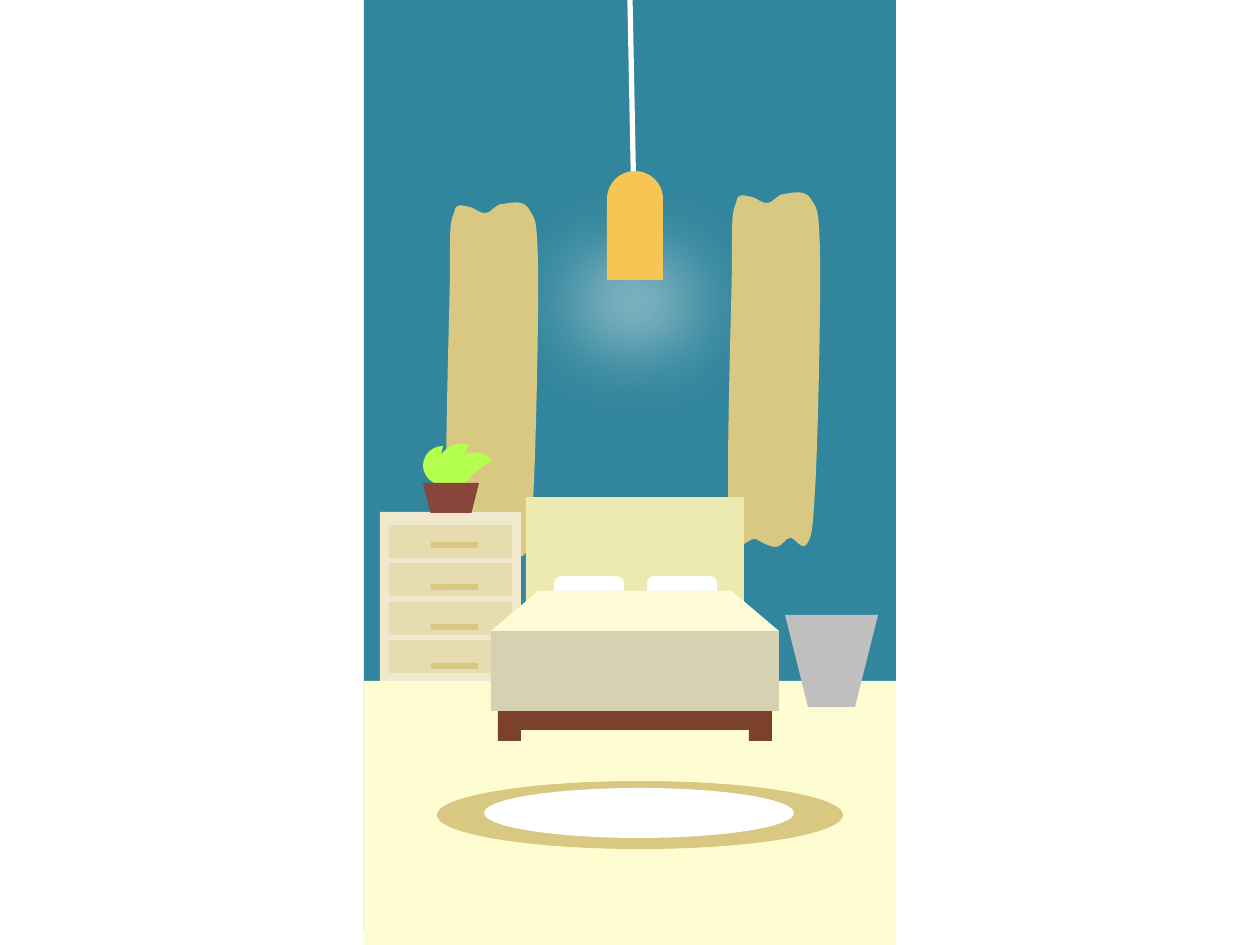
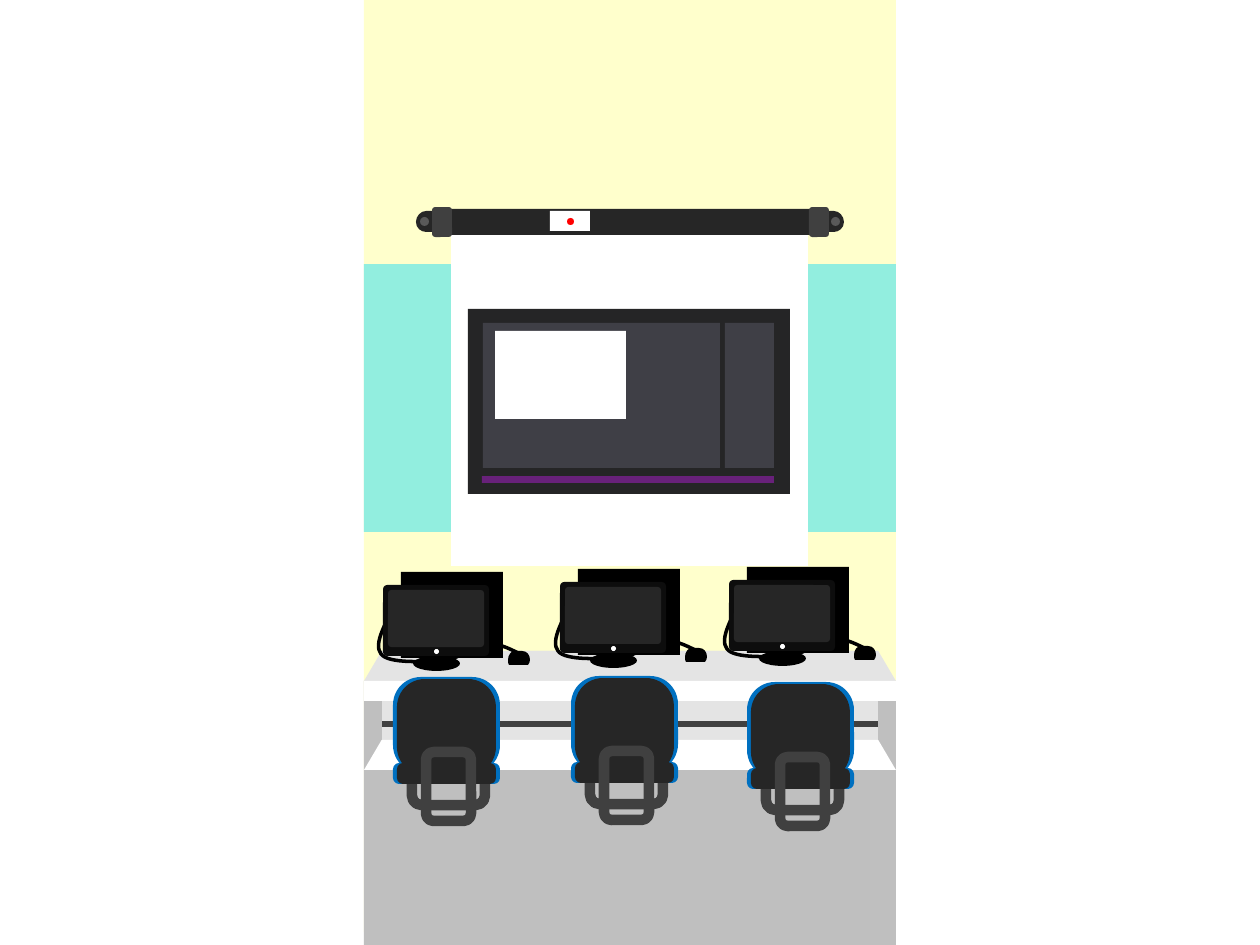
from dataclasses import dataclass

from lxml.etree import SubElement
from pptx import Presentation
from pptx.dml.color import RGBColor
from pptx.enum.shapes import MSO_CONNECTOR, MSO_SHAPE
from pptx.oxml.ns import qn
from pptx.util import Emu, Pt

PIXEL = 914400 / 126
LEFT, WIDTH, HEIGHT, FLOOR = 364, 532, 945, 681


@dataclass(frozen=True)
class Theme:
    """Colours and line widths of both scenes."""
    white: str = "FFFFFF"
    black: str = "000000"
    # Bedroom
    blue_wall: str = "31859C"
    cream_floor: str = "FEFDD1"
    sand: str = "D9C881"
    wood: str = "7B412D"
    headboard: str = "ECE9B1"
    cabinet: str = "F0E9CD"
    drawer: str = "E7DCAF"
    blanket: str = "D6D1B1"
    sheet: str = "FEFBD7"
    leaf: str = "B4FF4F"
    pot: str = "88463A"
    lamp: str = "F7C553"
    silver: str = "BFBFBF"
    # Classroom
    yellow_wall: str = "FFFFCC"
    mint: str = "92EEDF"
    charcoal: str = "262626"
    steel: str = "404040"
    bolt: str = "595959"
    red: str = "FF0000"
    desk: str = "E4E4E4"
    bezel: str = "0D0D0D"
    chair_rim: str = "0070C0"
    window: str = "252526"
    panel: str = "3F3F46"
    purple: str = "68217A"
    # Line widths in points
    cable: int = 2
    cord: int = 3
    tube: int = 6


theme = Theme()
RECT, ROUND, OVAL = MSO_SHAPE.RECTANGLE, MSO_SHAPE.ROUNDED_RECTANGLE, MSO_SHAPE.OVAL
TRAPEZOID, MOON = MSO_SHAPE.TRAPEZOID, MSO_SHAPE.MOON


def emu(*lengths):
    """Turn pixels into EMU."""
    return [Emu(round(length * PIXEL)) for length in lengths]


def draw(slide, kind, geometry, fill=None, line=None, width=1, adjust=None,
         rotation=0, flip=False, origin=(0, 0)):
    """Add a preset in a box, or, if kind is a string of L and C segments, a freeform."""
    left, top = origin
    if isinstance(kind, str):
        points = [emu(left + x, top + y) for x, y in geometry]
        builder = slide.shapes.build_freeform(*points[0], scale=1.0)
        builder.add_line_segments(points[1:], close=fill is not None)
        shape = builder.convert_to_shape()
        lines = iter(list(shape._element.iter(qn("a:lnTo"))))
        for segment in kind:
            element = next(lines)
            if segment == "C":
                element.tag = qn("a:cubicBezTo")
                for spare in (next(lines), next(lines)):
                    element.append(spare[0])
                    spare.getparent().remove(spare)
    else:
        x, y, box_width, box_height = geometry
        shape = slide.shapes.add_shape(kind, *emu(left + x, top + y, box_width, box_height))
    shape.shadow.inherit = False
    shape.rotation = rotation
    if flip:
        shape._element.spPr.find(qn("a:xfrm")).set("flipV", "1")
    if adjust is not None:
        shape.adjustments[0] = adjust
    if fill:
        shape.fill.solid()
        shape.fill.fore_color.rgb = RGBColor.from_string(fill)
    else:
        shape.fill.background()
    if line:
        shape.line.color.rgb = RGBColor.from_string(line)
        shape.line.width = Pt(width)
    else:
        shape.line.fill.background()
    return shape


presentation = Presentation()
presentation.slide_width, presentation.slide_height = emu(1260, HEIGHT)
blank_layout = presentation.slide_layouts[6]

# Slide 1: bedroom
bedroom = presentation.slides.add_slide(blank_layout)
draw(bedroom, RECT, (LEFT, 0, WIDTH, 932), theme.blue_wall)
glow = draw(bedroom, RECT, (428, 122, 412, 359), theme.white)
effects = glow._element.spPr.find(qn("a:effectLst"))
SubElement(effects, qn("a:softEdge"), rad=str(Pt(66)))

CURTAIN = [
    (529, 209), (523, 199), (510, 203), (503, 204), (495, 204), (491, 213), (486, 213),
    (480, 214), (475, 208), (470, 207), (464, 207), (456, 200), (454, 213),
    (450, 224), (450, 224), (450, 277), (449, 330), (444, 484), (447, 529),
    (451, 575), (466, 546), (474, 549), (482, 554), (489, 557), (494, 557),
    (500, 557), (503, 548), (508, 548), (513, 547), (520, 562), (525, 554),
    (529, 546), (530, 551), (533, 501), (536, 452), (539, 310), (538, 262),
    (537, 213), (534, 219), (529, 209)]
for shift in ((0, 0), (282, -10)):
    draw(bedroom, "C" * 13, CURTAIN, theme.sand, origin=shift)

draw(bedroom, RECT, (LEFT, FLOOR, WIDTH, HEIGHT - FLOOR), theme.cream_floor)

# Bed frame, headboard and pillows
draw(bedroom, RECT, (498, 671, 274, 59), theme.wood)
for x in (498, 749):
    draw(bedroom, RECT, (x, 727, 23, 14), theme.wood)
draw(bedroom, RECT, (526, 497, 218, 134), theme.headboard)
for x in (554, 647):
    draw(bedroom, ROUND, (x, 576, 70, 44), theme.white)

# Chest of drawers
draw(bedroom, RECT, (380, 512, 141, 169), theme.cabinet)
for y in (525, 563, 602, 640):
    draw(bedroom, RECT, (389, y, 123, 33), theme.drawer)
for y in (542, 584, 624, 663):
    draw(bedroom, ROUND, (431, y, 47, 6), theme.sand)

draw(bedroom, RECT, (491, 631, 288, 80), theme.blanket)
draw(bedroom, TRAPEZOID, (491, 591, 288, 40), theme.sheet, adjust=1.18)

# Plant
for box, angle in (((423, 446, 20, 39), 0), ((437, 440, 26, 52), 15), ((452, 443, 26, 52), 45.8)):
    draw(bedroom, MOON, box, theme.leaf, adjust=0.875, rotation=angle)

# Lamp
cord = bedroom.shapes.add_connector(MSO_CONNECTOR.STRAIGHT, *emu(630, 0, 634, 207))
cord.line.color.rgb = RGBColor.from_string(theme.white)
cord.line.width = Pt(theme.cord)
SubElement(cord._element.spPr, qn("a:effectLst"))
LAMP = [
    (635, 171), (650, 171), (663, 183), (663, 199), (663, 280), (607, 280),
    (607, 199), (607, 183), (620, 171), (635, 171)]
draw(bedroom, "CLLLC", LAMP, theme.lamp)

# Pot, rug and bin
draw(bedroom, TRAPEZOID, (423, 483, 56, 30), theme.pot, flip=True)
draw(bedroom, OVAL, (437, 781, 406, 68), theme.sand)
draw(bedroom, OVAL, (484, 788, 310, 50), theme.white)
draw(bedroom, TRAPEZOID, (785, 615, 93, 92), theme.silver, flip=True)

# Slide 2: classroom
classroom = presentation.slides.add_slide(blank_layout)
draw(classroom, RECT, (LEFT, 0, WIDTH, 932), theme.yellow_wall)
draw(classroom, RECT, (LEFT, FLOOR, WIDTH, HEIGHT - FLOOR), theme.silver)
draw(classroom, RECT, (LEFT, 264, WIDTH, 268), theme.mint)

# Projection screen and its roller
draw(classroom, RECT, (451, 230, 357, 336), theme.white)
draw(classroom, ROUND, (436, 209, 387, 26), theme.charcoal)
draw(classroom, RECT, (550, 211, 40, 20), theme.white)
draw(classroom, OVAL, (567, 218, 7, 7), theme.red)
KNOB = [
    (442, 232), (426, 232), (421, 232), (416, 228), (416, 222),
    (416, 216), (421, 211), (426, 211), (442, 211)]
MIRRORED_KNOB = [(1260 - x, y) for x, y in KNOB]
for knob, bolt_x, cap_x in ((KNOB, 420, 432), (MIRRORED_KNOB, 831, 809)):
    draw(classroom, "LCCL", knob, theme.charcoal)
    draw(classroom, OVAL, (bolt_x, 217, 9, 9), theme.bolt)
    draw(classroom, ROUND, (cap_x, 207, 20, 30), theme.steel)

# Desk
draw(classroom, RECT, (382, 651, 496, 89), theme.desk)
draw(classroom, TRAPEZOID, (LEFT, 740, WIDTH, 30), theme.white, adjust=0.59)
for x in (471, 620, 779):
    draw(classroom, RECT, (x, 651, 6, 110), theme.steel)
draw(classroom, TRAPEZOID, (LEFT, 651, WIDTH, 30), theme.desk, adjust=0.59)
draw(classroom, RECT, (LEFT, FLOOR, WIDTH, 20), theme.white)
draw(classroom, RECT, (627, 476, 6, 496), theme.steel, rotation=270)

# Computers, measured from the top left corner of the case
CABLE = [
    (117, 81), (107, 76), (97, 71), (84, 72), (73, 73), (60, 87), (43, 88),
    (25, 90), (-13, 92), (-20, 82), (-28, 72), (-15, 50), (-3, 28)]
MOUSE = [
    (114, 79), (121, 79), (126, 79), (129, 83), (129, 88), (129, 90), (128, 92), (127, 93),
    (108, 93), (107, 92), (107, 90), (107, 88), (107, 83), (110, 79), (114, 79)]
COMPUTER = [
    (RECT, (0, 0, 102, 86), theme.black, None),
    (OVAL, (12, 84, 47, 15), theme.black, None),
    (ROUND, (24, 77, 24, 15), theme.black, None),
    (ROUND, (-18, 13, 106, 71), theme.bezel, 0.06),
    (ROUND, (-13, 18, 96, 57), theme.charcoal, 0.06),
    (OVAL, (33, 77, 5, 5), theme.white, None),
    ("LCCLCC", MOUSE, theme.black, None)]
for corner in ((401, 572), (578, 569), (747, 567)):
    draw(classroom, "CCCC", CABLE, line=theme.black, width=theme.cable, origin=corner)
    for kind, geometry, colour, adjust in COMPUTER:
        draw(classroom, kind, geometry, colour, adjust=adjust, origin=corner)

# Chairs, measured from the top left corner of the backrest
tube = {"line": theme.steel, "width": theme.tube}
rim = {"fill": theme.chair_rim, "adjust": 0.29}
cushion = {"fill": theme.charcoal, "adjust": 0.29}
CHAIR = [
    ((19, 71, 73, 57), tube),
    ((0, 0, 107, 96), rim),
    ((0, 86, 107, 21), rim),
    ((4, 86, 99, 21), cushion),
    ((4, 2, 99, 96), cushion),
    ((33, 75, 45, 69), tube)]
for corner in ((393, 677), (571, 676), (747, 682)):
    for box, style in CHAIR:
        draw(classroom, ROUND, box, origin=corner, **style)

# Projected program window
draw(classroom, RECT, (468, 309, 322, 185), theme.window)
draw(classroom, RECT, (483, 323, 237, 145), theme.panel)
draw(classroom, RECT, (725, 323, 49, 145), theme.panel)
draw(classroom, RECT, (495, 331, 131, 88), theme.white)
draw(classroom, RECT, (482, 476, 292, 7), theme.purple)

presentation.save("out.pptx")
